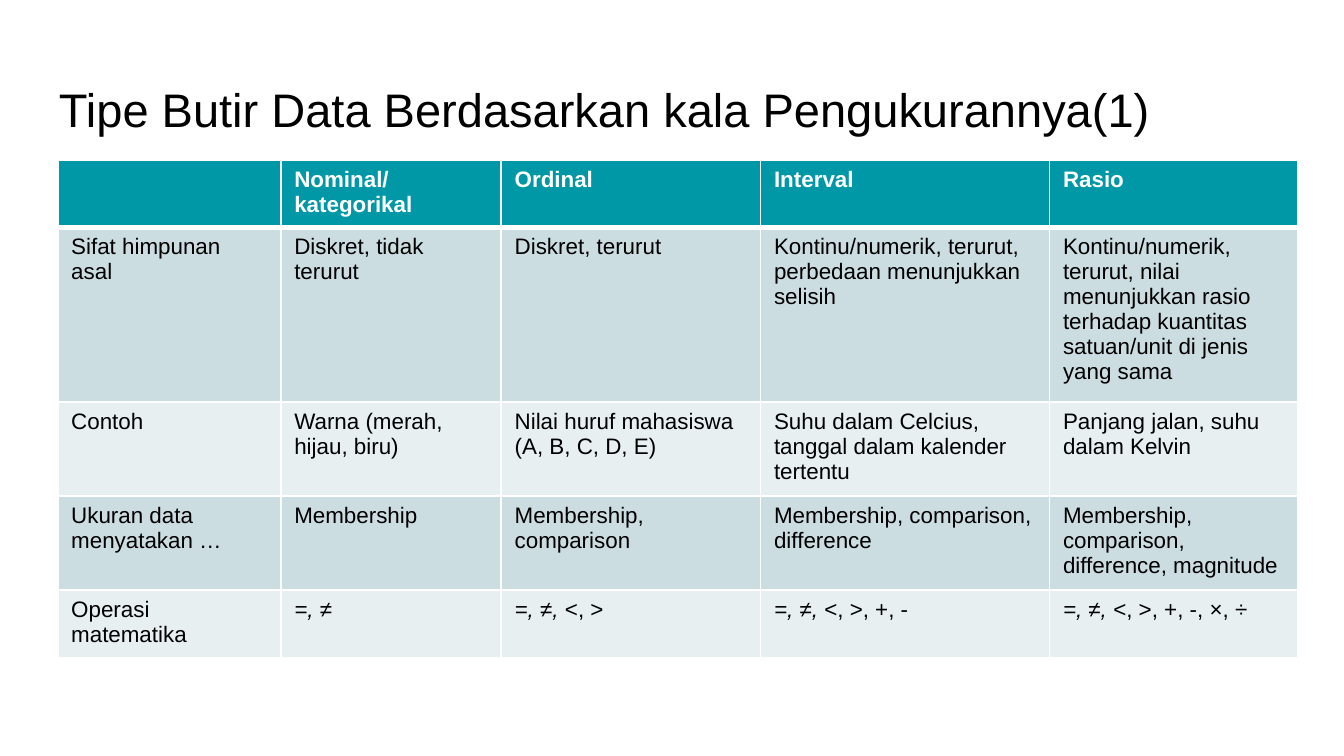
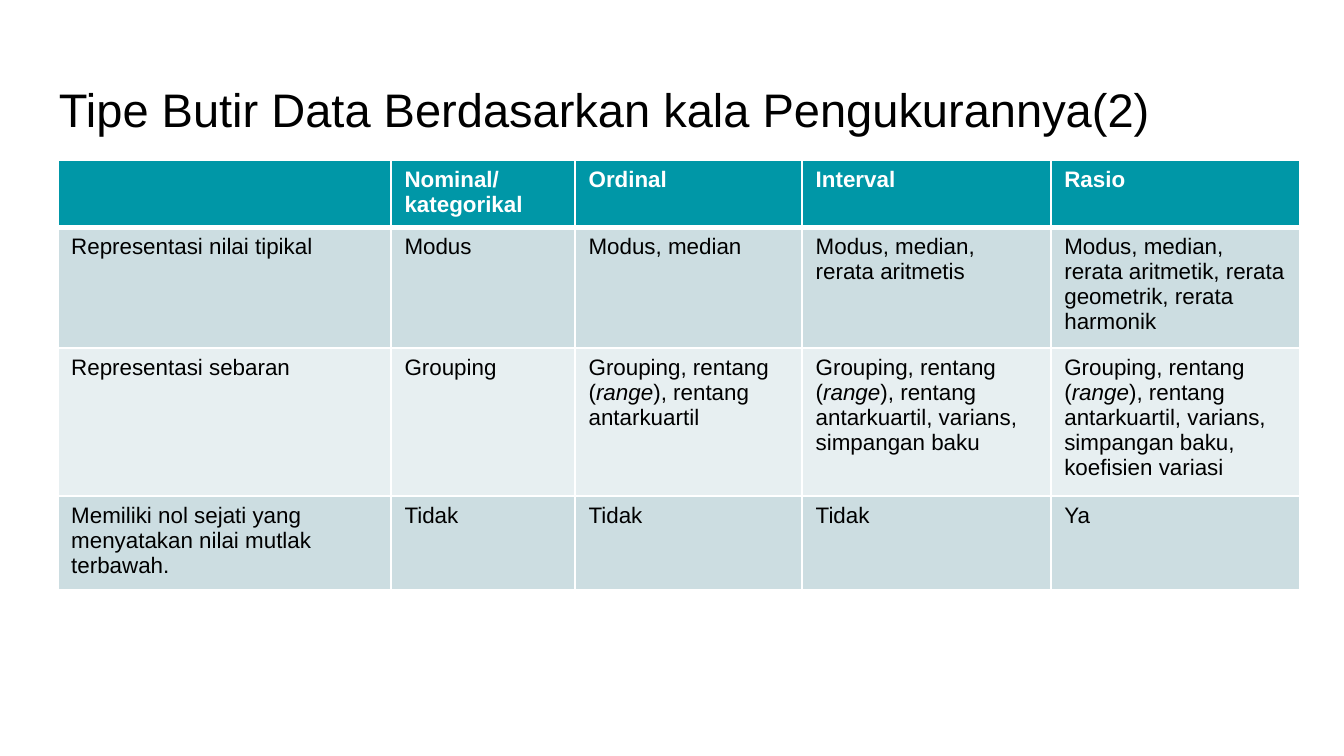
from lxml import etree
from pptx import Presentation
from pptx import util as u
from pptx.dml.color import RGBColor
from pptx.enum import text
from pptx.oxml import ns

PX = 4572
FONT = "Arial"
BLACK = RGBColor(0x00, 0x00, 0x00)
WHITE = RGBColor(0xFF, 0xFF, 0xFF)
TEAL = RGBColor(0x00, 0x97, 0xA7)
BAND_DARK = RGBColor(0xCC, 0xDD, 0xE1)
BAND_LIGHT = RGBColor(0xE7, 0xEF, 0xF1)

TITLE = "Tipe Butir Data Berdasarkan kala Pengukurannya"
SCALES = ["", "Nominal/kategorikal", "Ordinal", "Interval", "Rasio"]
SPREAD = "Grouping, rentang (*range*), rentang antarkuartil"

PROPERTIES = [
    ["Sifat himpunan asal", "Diskret, tidak terurut", "Diskret, terurut",
     "Kontinu/numerik, terurut, perbedaan menunjukkan selisih",
     "Kontinu/numerik, terurut, nilai menunjukkan rasio terhadap kuantitas "
     "satuan/unit di jenis yang sama"],
    ["Contoh", "Warna (merah, hijau, biru)", "Nilai huruf mahasiswa (A, B, C, D, E)",
     "Suhu dalam Celcius, tanggal dalam kalender tertentu",
     "Panjang jalan, suhu dalam Kelvin"],
    ["Ukuran data menyatakan …", "Membership", "Membership, comparison",
     "Membership, comparison, difference",
     "Membership, comparison, difference, magnitude"],
    ["Operasi matematika", "*=, ≠*", "*=, ≠, *<, >", "*=, ≠, *<, >, +, -",
     "*=, ≠, *<, >, +, -, ×, ÷"],
]

STATISTICS = [
    ["Representasi nilai tipikal", "Modus", "Modus, median",
     "Modus, median, rerata aritmetis",
     "Modus, median, rerata aritmetik, rerata geometrik, rerata harmonik"],
    ["Representasi sebaran", "Grouping", SPREAD,
     SPREAD + ", varians, simpangan baku",
     SPREAD + ", varians, simpangan baku, koefisien variasi"],
    ["Memiliki nol sejati yang menyatakan nilai mutlak terbawah.",
     "Tidak", "Tidak", "Tidak", "Ya"],
]


class Slides:
    def __init__(self):
        self.deck = Presentation()
        self.deck.slide_width = 2000 * PX
        self.deck.slide_height = 1125 * PX
        self.page = None

    def new_page(self, title):
        self.page = self.deck.slides.add_slide(self.deck.slide_layouts[6])
        self.title(title)

    def add_spans(self, para, content, size, color, bold=False):
        for index, part in enumerate(content.split("*")):
            if part:
                span = para.add_run()
                span.text = part
                span.font.name = FONT
                span.font.size = u.Pt(size)
                span.font.color.rgb = color
                span.font.bold = bold
                span.font.italic = index % 2 == 1

    def title(self, content):
        box = self.page.shapes.add_textbox(68 * PX, 98 * PX, 1864 * PX, 126 * PX)
        frame = box.text_frame
        frame.word_wrap = True
        frame.vertical_anchor = text.MSO_ANCHOR.BOTTOM
        frame.margin_left = frame.margin_right = 20 * PX
        frame.margin_top = frame.margin_bottom = 20 * PX
        self.add_spans(frame.paragraphs[0], content, 25.2, BLACK)

    def borders(self, cell, top, bottom):
        properties = cell._tc.get_or_add_tcPr()
        sides = [("lnL", 1), ("lnR", 1), ("lnT", top), ("lnB", bottom)]
        for index, (side, width) in enumerate(sides):
            line = etree.Element(ns.qn("a:" + side), w=str(u.Pt(width)))
            fill = etree.SubElement(line, ns.qn("a:solidFill"))
            etree.SubElement(fill, ns.qn("a:srgbClr"), val=str(WHITE))
            properties.insert(index, line)

    def table(self, widths, height, body):
        rows = [SCALES] + body
        holder = self.page.shapes.add_table(
            len(rows), len(widths), 86 * PX, 238 * PX, sum(widths) * PX, height * PX)
        table = holder.table
        table.horz_banding = False
        for column, width in zip(table.columns, widths):
            column.width = width * PX
        for row in table.rows:
            row.height = 82 * PX
        holder.height = height * PX
        for r, contents in enumerate(rows):
            header = r == 0
            band = TEAL if header else (BAND_LIGHT, BAND_DARK)[r % 2]
            for c, content in enumerate(contents):
                cell = table.cell(r, c)
                cell.fill.solid()
                cell.fill.fore_color.rgb = band
                self.borders(cell, 3 if r == 1 else 1, 3 if header else 1)
                self.add_spans(cell.text_frame.paragraphs[0], content, 12,
                               WHITE if header else BLACK, header)


def main():
    slides = Slides()
    slides.new_page(TITLE + "(1)")
    slides.table([332, 328, 386, 430, 370], 740, PROPERTIES)
    slides.new_page(TITLE + "(2)")
    slides.table([496, 274, 338, 370, 370], 640, STATISTICS)
    slides.deck.save("out.pptx")


if __name__ == "__main__":
    main()
